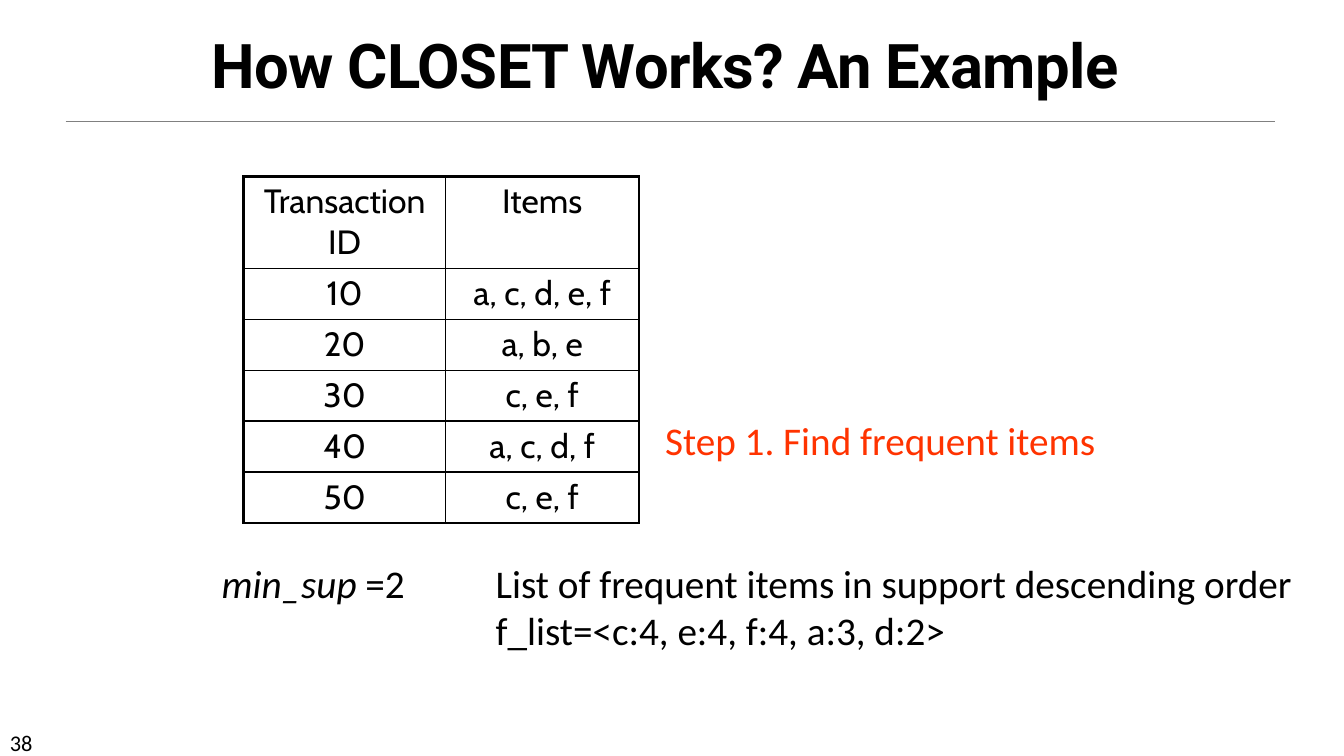
from dataclasses import dataclass

import pptx
import pptx.dml.color
import pptx.enum.shapes
import pptx.enum.text
import pptx.oxml
import pptx.oxml.ns
import pptx.util

Pt = pptx.util.Pt
Align = pptx.enum.text.PP_ALIGN
Fit = pptx.enum.text.MSO_AUTO_SIZE


@dataclass(frozen=True)
class Theme:
    ink: str = "000000"
    accent: str = "FF3300"
    rule: str = "808080"
    head: str = "Roboto"
    body: str = "Calibri"
    grid: str = "Cabin"
    title: float = 44
    text: float = 28
    cell: float = 24
    page: float = 16
    thick: float = 2.25
    thin: float = 1


def rgb(color):
    return pptx.dml.color.RGBColor.from_string(color)


class Painter:
    def __init__(self, slide, theme):
        self.slide = slide
        self.theme = theme

    def style(self, para, face, size, color=None):
        for run in para.runs:
            run.font.name = face
            run.font.size = Pt(size)
            run.font.color.rgb = rgb(color or self.theme.ink)

    def title(self, text, *box):
        shape = self.slide.shapes.title
        shape.left, shape.top, shape.width, shape.height = map(Pt, box)
        frame = shape.text_frame
        frame.text = text
        frame.auto_size = Fit.NONE
        frame.vertical_anchor = pptx.enum.text.MSO_ANCHOR.BOTTOM
        para = frame.paragraphs[0]
        para.alignment = Align.CENTER
        para.line_spacing = 0.85
        self.style(para, self.theme.head, self.theme.title)
        font = para.runs[0].font
        font.bold = True
        font._element.set("spc", "-50")

    def rule(self, left, right, y):
        line = self.slide.shapes.add_connector(
            pptx.enum.shapes.MSO_CONNECTOR.STRAIGHT, Pt(left), Pt(y), Pt(right), Pt(y))
        line.line.color.rgb = rgb(self.theme.rule)
        line.line.width = Pt(0.5)
        props = line._element.spPr
        props.append(pptx.oxml.parse_xml(
            f'<a:effectLst {pptx.oxml.ns.nsdecls("a")}/>'))

    def text(self, lines, *box, size=None, color=None, wrap=False, fit=Fit.SHAPE_TO_FIT_TEXT):
        shape = self.slide.shapes.add_textbox(*map(Pt, box))
        frame = shape.text_frame
        frame.text = lines
        frame.word_wrap = wrap
        frame.auto_size = fit
        for para in frame.paragraphs:
            self.style(para, self.theme.body, size or self.theme.text, color)
        return frame

    def border(self, cell, side, width):
        props = cell._tc.get_or_add_tcPr()
        props.append(pptx.oxml.parse_xml(
            f'<a:ln{side} {pptx.oxml.ns.nsdecls("a")} w="{Pt(width)}">'
            f'<a:solidFill><a:srgbClr val="{self.theme.ink}"/></a:solidFill>'
            f'</a:ln{side}>'))

    def table(self, data, left, top, widths, heights):
        """Draw a plain grid with a thick outer frame."""
        rows, cols = len(data), len(data[0])
        table = self.slide.shapes.add_table(
            rows, cols, Pt(left), Pt(top), Pt(sum(widths)), Pt(sum(heights))).table
        table.first_row = table.horz_banding = False
        for col, width in zip(table.columns, widths):
            col.width = Pt(width)
        for row, height in zip(table.rows, heights):
            row.height = Pt(height)
        for r, row in enumerate(data):
            for c, value in enumerate(row):
                cell = table.cell(r, c)
                cell.text_frame.text = value
                para = cell.text_frame.paragraphs[0]
                para.alignment = Align.CENTER
                self.style(para, self.theme.grid, self.theme.cell)
                outer = {"L": c == 0, "R": c == cols - 1, "T": r == 0, "B": r == rows - 1}
                for side, edge in outer.items():
                    self.border(cell, side, self.theme.thick if edge else self.theme.thin)
                cell.fill.background()


def main():
    deck = pptx.Presentation()
    deck.slide_width, deck.slide_height = Pt(960), Pt(540)
    theme = Theme()
    paint = Painter(deck.slides.add_slide(deck.slide_layouts[5]), theme)

    paint.title("How CLOSET Works? An Example", 27.4, 17.3, 895, 58.3)
    paint.rule(46.8, 910.8, 86.4)
    paint.text("38", 0, 517, 84.2, 21.6, size=theme.page, wrap=True, fit=Fit.NONE)

    items = [
        ("Transaction ID", "Items"),
        ("10", "a, c, d, e, f"),
        ("20", "a, b, e"),
        ("30", "c, e, f"),
        ("40", "a, c, d, f"),
        ("50", "c, e, f"),
    ]
    paint.table(items, 174.2, 126, [144, 138.2], [65.5] + [36.4] * 5)

    support = paint.text("min_sup", 151.2, 396, 146.9, 41).paragraphs[0]
    support.add_run().text = " =2"
    paint.style(support, theme.body, theme.text)
    support.runs[0].font.italic = True

    paint.text("Step 1. Find frequent items", 468, 293.8, 325.4, 41, color=theme.accent)
    paint.text("List of frequent items in support descending order\n"
               "f_list=<c:4, e:4, f:4, a:3, d:2>", 347, 396, 597.6, 74.9, wrap=True)
    deck.save("out.pptx")


if __name__ == "__main__":
    main()
